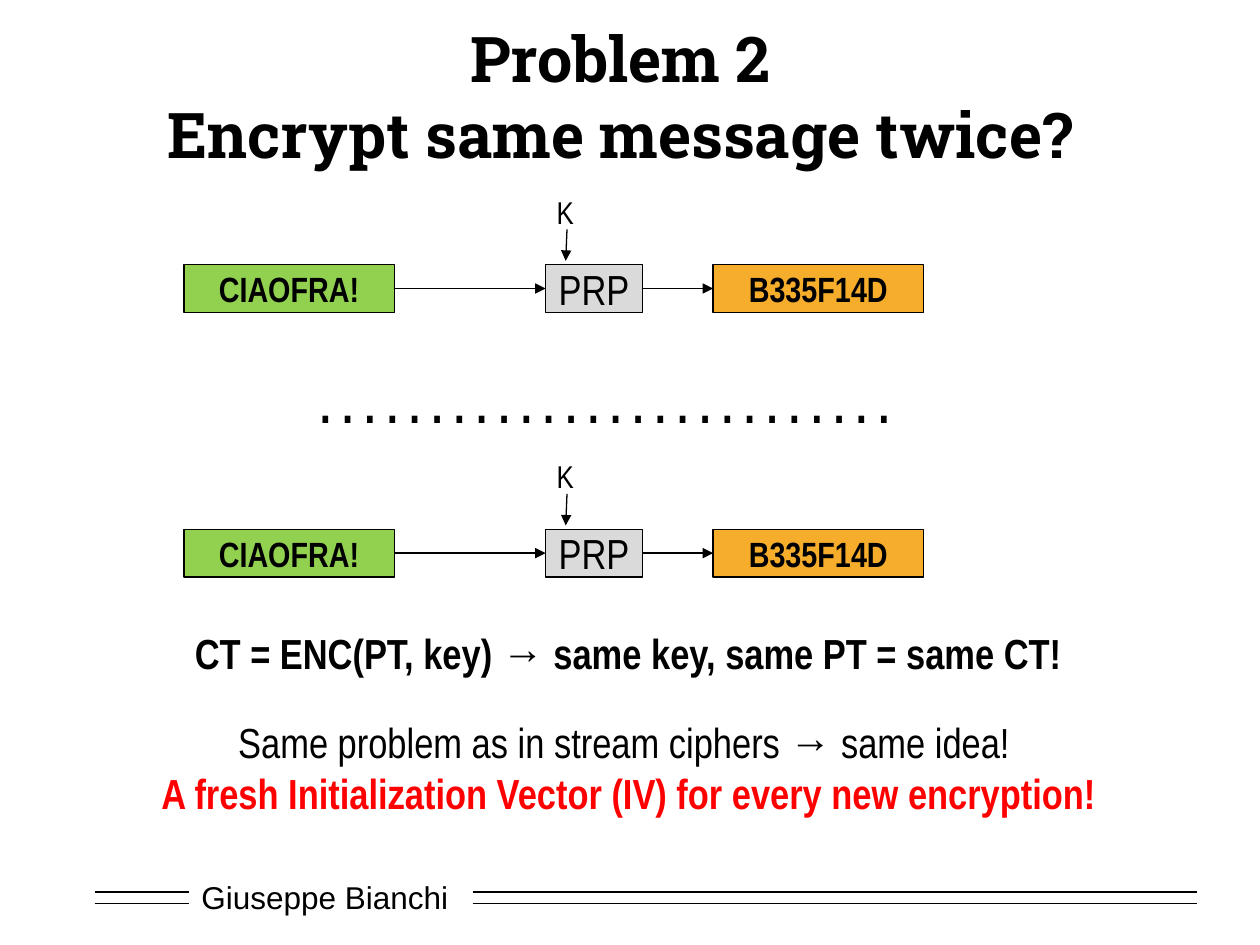
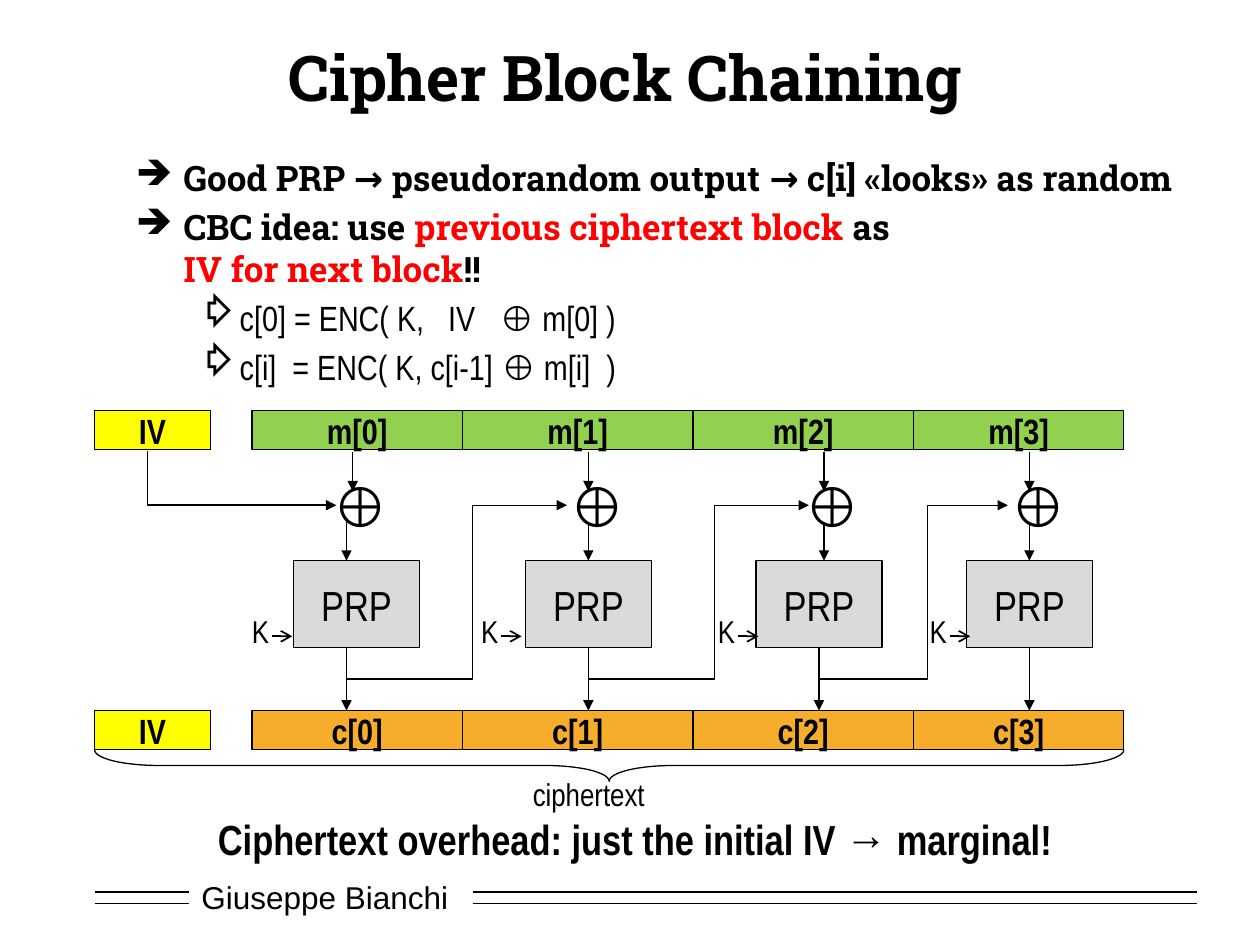
from dataclasses import dataclass
from itertools import pairwise
from lxml.etree import SubElement as Sub
from pptx import Presentation
from pptx.dml.color import RGBColor as Color
from pptx.enum.shapes import MSO_CONNECTOR as Link, MSO_SHAPE as Shape
from pptx.enum.text import MSO_ANCHOR as Anchor, MSO_AUTO_SIZE as Fit, PP_ALIGN as Align
from pptx.oxml.ns import qn
from pptx.util import Emu, Pt

PX = 9144


@dataclass(frozen=True)
class Theme:
    ink: str = "000000"
    paper: str = "FFFFFF"
    red: str = "FF0000"
    gray: str = "DADADA"
    green: str = "92D050"
    gold: str = "F5AD2B"
    yellow: str = "FFFF00"
    head: str = "Roboto Slab"
    face: str = "Arial Narrow"
    foot: str = "Arial"
    title: int = 36
    sign: int = 32
    dots: int = 28
    large: int = 24
    text: int = 20
    small: int = 18
    thin: float = 0.75
    thick: float = 1


T = Theme()


@dataclass
class Span:
    text: str
    ink: str = ""
    gap: float = 0


@dataclass
class Para:
    spans: list | str
    size: int = T.text
    bold: bool = False
    ink: str = T.ink
    face: str = T.face
    align: Align = Align.LEFT
    mark: str = ""
    level: int = 0
    left: int = 0
    hang: int = 0


def px(*nums):
    return [Emu(round(n * PX)) for n in nums]


class Deck:
    def __init__(self):
        self.show = Presentation()
        self.show.slide_width, self.show.slide_height = px(1000, 750)

    def page(self, title, *area):
        self.slide = self.show.slides.add_slide(self.show.slide_layouts[6])
        self.shapes = self.slide.shapes
        self.rects = []
        self.foot()
        para = Para(title, T.title, True, face=T.head, align=Align.CENTER)
        self.text(area, para, wrap=True, anchor=Anchor.MIDDLE, grow=False)

    def foot(self):
        name = self.text((150, 692, 217, 40), Para("Giuseppe Bianchi", T.small, face=T.foot),
                         wrap=True, anchor=Anchor.MIDDLE)
        name.fill.solid()
        name.fill.fore_color.rgb = Color.from_string(T.paper)
        for y in (708, 717):
            for left, right in ((75, 150), (375, 950)):
                self.line((left, y), (right, y), T.thick, "")

    def fill(self, frame, paras):
        for i, para in enumerate(paras):
            p = frame.add_paragraph() if i else frame.paragraphs[0]
            p.alignment = para.align
            if para.mark:
                p.level = para.level
                p.space_before = Pt(4)
                prop = p._p.get_or_add_pPr()
                prop.set("marL", str(para.left * PX))
                prop.set("indent", str(-para.hang * PX))
                Sub(prop, qn("a:buChar"), char=para.mark)
            font = p.font
            font.size, font.bold, font.name = Pt(para.size), para.bold, para.face
            font.color.rgb = Color.from_string(para.ink)
            spans = [Span(para.spans)] if isinstance(para.spans, str) else para.spans
            for span in spans:
                self.span(p, span)

    def span(self, p, span):
        for i, text in enumerate(span.text.split("\n")):
            if i:
                p.add_line_break()
            if text:
                run = p.add_run()
                run.text = text
                if span.ink:
                    run.font.color.rgb = Color.from_string(span.ink)
                if span.gap:
                    run._r.get_or_add_rPr().set("spc", str(round(span.gap * 100)))

    def text(self, area, *paras, wrap=False, anchor=Anchor.TOP, grow=True):
        box = self.shapes.add_textbox(*px(*area))
        frame = box.text_frame
        frame.word_wrap = wrap
        frame.vertical_anchor = anchor
        frame.auto_size = Fit.SHAPE_TO_FIT_TEXT if grow else Fit.NONE
        self.fill(frame, paras)
        return box

    def rect(self, area, label, tint, size=T.text, bold=True):
        box = self.shapes.add_shape(Shape.RECTANGLE, *px(*area))
        box.shadow.inherit = False
        box.fill.solid()
        box.fill.fore_color.rgb = Color.from_string(tint)
        self.pen(box.line, T.thin)
        box.text_frame.word_wrap = False
        box.text_frame.vertical_anchor = Anchor.MIDDLE
        self.fill(box.text_frame, [Para(label, size, bold, align=Align.CENTER)])
        self.rects.append((box, area))

    def prp(self, *area):
        self.rect(area, "PRP", T.gray, T.large, False)

    def pen(self, line, width, tip=""):
        line.color.rgb = Color.from_string(T.ink)
        line.width = Pt(width)
        if tip:
            Sub(line._get_or_add_ln(), qn("a:tailEnd"), type=tip)

    def line(self, start, end, width=T.thin, tip="triangle"):
        wire = self.shapes.add_connector(Link.STRAIGHT, *px(*start, *end))
        self.pen(wire.line, width, tip)
        Sub(wire._element.spPr, qn("a:effectLst"))
        for box, (x, y, w, h) in self.rects:
            sides = [(x + w / 2, y), (x, y + h / 2), (x + w / 2, y + h), (x + w, y + h / 2)]
            for point, join in ((start, wire.begin_connect), (end, wire.end_connect)):
                if point in sides:
                    join(box, sides.index(point))

    def bend(self, start, *points, width=T.thin):
        form = self.shapes.build_freeform(*start, scale=PX)
        form.add_line_segments(points, close=False)
        wire = form.convert_to_shape()
        wire.shadow.inherit = False
        wire.fill.background()
        self.pen(wire.line, width, "triangle")

    def brace(self, *area):
        curve = self.shapes.add_shape(Shape.LEFT_BRACE, *px(*area))
        curve.rotation = 270
        curve.adjustments[0] = 2.04
        curve.shadow.inherit = False
        curve.fill.background()
        self.pen(curve.line, T.thin)

    def key(self, x, y):
        self.text((x, y, 34, 40), Para("K", T.small))


def twice(deck):
    deck.page("Problem 2\nEncrypt same message twice?", 28, 40, 929, 71)
    for y in (210, 420):
        mid = y + 19
        deck.rect((146, y, 167, 38), "CIAOFRA!", T.green)
        deck.prp(433, y, 77, 38)
        deck.rect((566, y, 167, 38), "B335F14D", T.gold)
        deck.line((313, mid), (433, mid))
        deck.line((510, mid), (566, mid))
        deck.key(432, y - 62)
        deck.line((450, y - 28), (449, y - 3))
    deck.text((244, 292, 476, 57),
              Para(". . . . . . . . . . . . . . . . . . . . . . . . . .", T.dots, True))
    mid = Align.CENTER
    deck.text((141, 493, 715, 50),
              Para("CT = ENC(PT, key) → same key, same PT = same CT!", T.large, True, align=mid))
    deck.text((114, 564, 770, 91),
              Para("Same problem as in stream ciphers → same idea! ", T.large, align=mid),
              Para("A fresh Initialization Vector (IV) for every new encryption!",
                   T.large, True, T.red, align=mid))


def points(deck):
    main = dict(bold=True, face=T.head, mark="➔", left=38, hang=38)
    sub = dict(mark="⇨", level=1, left=81, hang=31)
    wide, broad = Span(" ", gap=4.6), Span(" ", gap=9.1)
    deck.text(
        (98, 119, 847, 196),
        Para("Good PRP → pseudorandom output → c[i] «looks» as random", **main),
        Para([Span("CBC idea: use "), Span("previous ciphertext block ", T.red), Span("as \n"),
              Span("IV for next block", T.red), Span("!!")], **main),
        Para([Span("c[0] = ENC( K,"), broad, Span("IV"), broad, Span("⊕ m[0] )")], **sub),
        Para([Span("c[i]"), wide, Span("= ENC( K, c[i-1] ⊕ m[i]"), wide, Span(")")], **sub),
        wrap=True, grow=False)


def chain(deck):
    deck.page("Cipher Block Chaining", 75, 25, 842, 71)
    points(deck)
    edges = (200, 367, 550, 725, 892)
    for y, name, tint in ((326, "m", T.green), (564, "c", T.gold)):
        deck.rect((75, y, 92, 31), "IV", T.yellow)
        for i, (left, right) in enumerate(pairwise(edges)):
            deck.rect((left, y, right - left, 31), f"{name}[{i}]", tint)

    boxes = (233, 417, 600, 767)
    signs = (254, 442, 629, 792)
    drops = (280, 467, 654, 817)
    feeds = (275, 467, 654, 817)
    outs = (275, 467, 650, 817)
    keys = (190, 372, 560, 728)
    for box, sign, drop, feed, out, key in zip(boxes, signs, drops, feeds, outs, keys):
        deck.prp(box, 445, 100, 69)
        deck.text((sign, 369, 55, 64), Para("⊕", T.sign))
        deck.line((drop, 359), (drop, 390))
        deck.line((feed, 414), (feed, 445))
        deck.line((out, 514), (out, 564))
        deck.key(key, 481)
        deck.line((key + 26, 505), (key + 42, 505), T.thick, "arrow")

    deck.bend((117, 358), (117, 401), (267, 401), width=T.thick)
    for out, turn, end in zip(outs, (375, 567, 736), (450, 642, 800)):
        deck.bend((out, 539), (turn, 539), (turn, 401), (end, 401))
    deck.brace(471, 199, 25, 817)
    deck.text((413, 610, 125, 40), Para("ciphertext", T.small))
    deck.text((8, 641, 992, 50),
              Para("Ciphertext overhead: just the initial IV → marginal!", T.large, True,
                   align=Align.CENTER), wrap=True)


def main():
    deck = Deck()
    twice(deck)
    chain(deck)
    deck.show.save("out.pptx")


if __name__ == "__main__":
    main()
